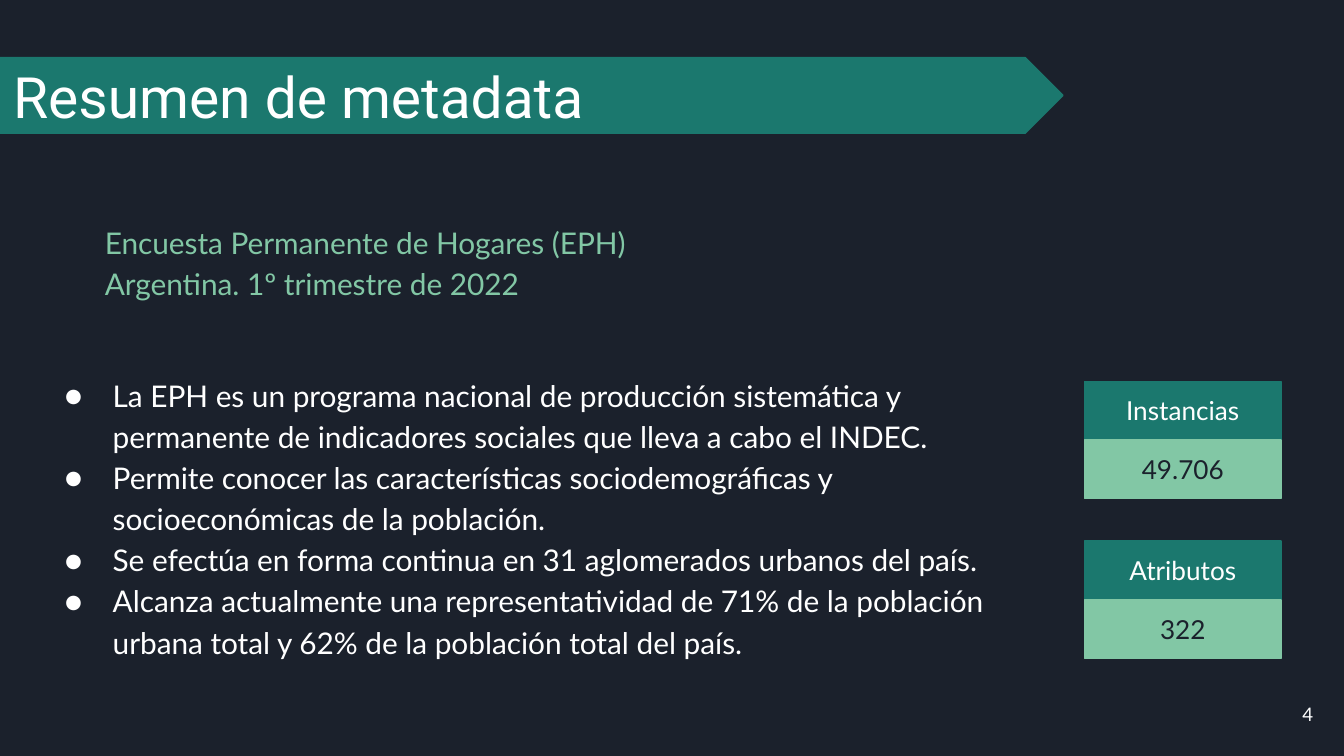
from lxml.etree import SubElement
from pptx import Presentation
from pptx.dml.color import RGBColor
from pptx.enum.shapes import MSO_SHAPE
from pptx.enum.text import MSO_ANCHOR, MSO_AUTO_SIZE, PP_ALIGN
from pptx.oxml.ns import qn
from pptx.util import Cm, Pt

TITLE = "Resumen de metadata"
SOURCE = "Encuesta Permanente de Hogares (EPH)\nArgentina. 1º trimestre de 2022"
FACTS = [
    "La EPH es un programa nacional de producción sistemática y permanente "
    "de indicadores sociales que lleva a cabo el INDEC.",
    "Permite conocer las características sociodemográficas y "
    "socioeconómicas de la población.",
    "Se efectúa en forma continua en 31 aglomerados urbanos del país.",
    "Alcanza actualmente una representatividad de 71% de la población "
    "urbana total y 62% de la población total del país.",
]
CARDS = [("Instancias", "49.706"), ("Atributos", "322")]
PAGE_NUMBER = "4"

COLORS = {"night": "1B212C", "teal": "1B786E", "mint": "82C7A5", "white": "FFFFFF"}

BANNER = (0, 1.09, 20.09, 1.43)
CARD_LEFT, CARD_TOP, CARD_WIDTH, CELL_HEIGHT = 20.5, 7.21, 3.71, 1.11
CARD_STEP = 3.02


def color(name):
    return RGBColor.from_string(COLORS[name])


def place(box, left, top, width, height):
    box.left, box.top, box.width, box.height = map(Cm, (left, top, width, height))


def write(box, texts, size, ink, font="Lato", align=PP_ALIGN.LEFT,
          anchor=MSO_ANCHOR.TOP, fit=MSO_AUTO_SIZE.NONE):
    """Fill the box with one paragraph per text, all in the same style."""
    frame = box.text_frame
    frame.word_wrap = True
    frame.auto_size = fit
    frame.vertical_anchor = anchor
    frame.margin_left = frame.margin_right = Cm(0.25)
    frame.margin_top = frame.margin_bottom = Cm(0.25)
    for index, text in enumerate(texts):
        para = frame.paragraphs[0] if index == 0 else frame.add_paragraph()
        para.text = text
        para.alignment = align
        para.space_before = Pt(0)
        para.font.name = font
        para.font.size = Pt(size)
        para.font.bold = False
        para.font.color.rgb = color(ink)
    return frame.paragraphs


def set_bullet(para, bullet=None):
    """Give the paragraph a hanging bullet, or none and no indent."""
    props = para._p.get_or_add_pPr()
    props.set("marL", str(Cm(1.27) if bullet else 0))
    props.set("indent", str(Cm(-0.91) if bullet else 0))
    if bullet:
        tint = SubElement(props, qn("a:buClr"))
        SubElement(tint, qn("a:srgbClr"), val=COLORS["white"])
        SubElement(props, qn("a:buFont"), typeface="Lato")
        SubElement(props, qn("a:buChar"), char=bullet)
    else:
        SubElement(props, qn("a:buNone"))
    props.append(props.find(qn("a:defRPr")))  # the schema wants it last


def add_block(shapes, kind, position, fill):
    block = shapes.add_shape(kind, *map(Cm, position))
    block.shadow.inherit = False
    block.fill.solid()
    block.fill.fore_color.rgb = color(fill)
    block.line.color.rgb = color(fill)
    block.line.width = Pt(0.75)
    return block


deck = Presentation()
deck.slide_width, deck.slide_height = Cm(25.4), Cm(14.29)
page = deck.slides.add_slide(deck.slide_layouts.get_by_name("Two Content"))
page.background.fill.solid()
page.background.fill.fore_color.rgb = color("night")
title, facts, source = page.placeholders

# The banner goes behind the title
banner = add_block(page.shapes, MSO_SHAPE.PENTAGON, BANNER, "teal")
title._element.addprevious(banner._element)
place(title, *BANNER)
write(title, [TITLE], 30.5, "white", font="Roboto", anchor=MSO_ANCHOR.MIDDLE)

place(source, 1.73, 3.89, 11, 2.24)
for para in write(source, [SOURCE], 16, "mint"):
    para.line_spacing = 1.15
    para.space_before = para.space_after = Pt(12)
    set_bullet(para)

place(facts, 0.61, 6.78, 18.31, 5.92)
fact_paragraphs = write(facts, FACTS, 16, "white")
for para in fact_paragraphs:
    para.line_spacing = 1.15
    set_bullet(para, "●")
fact_paragraphs[0].space_before = Pt(12)

for row, card in enumerate(CARDS):
    group = page.shapes.add_group_shape()
    for cell, (text, fill, ink) in enumerate(
            zip(card, ("teal", "mint"), ("white", "night"))):
        top = CARD_TOP + row * CARD_STEP + cell * CELL_HEIGHT
        block = add_block(group.shapes, MSO_SHAPE.RECTANGLE,
                          (CARD_LEFT, top, CARD_WIDTH, CELL_HEIGHT), fill)
        write(block, [text], 14, ink, align=PP_ALIGN.CENTER,
              fit=MSO_AUTO_SIZE.SHAPE_TO_FIT_TEXT)

number = page.shapes.add_textbox(Cm(23.55), Cm(12.95), Cm(1.52), Cm(1.09))
write(number, [PAGE_NUMBER], 10, "white", align=PP_ALIGN.RIGHT,
      anchor=MSO_ANCHOR.MIDDLE)

deck.save("out.pptx")
